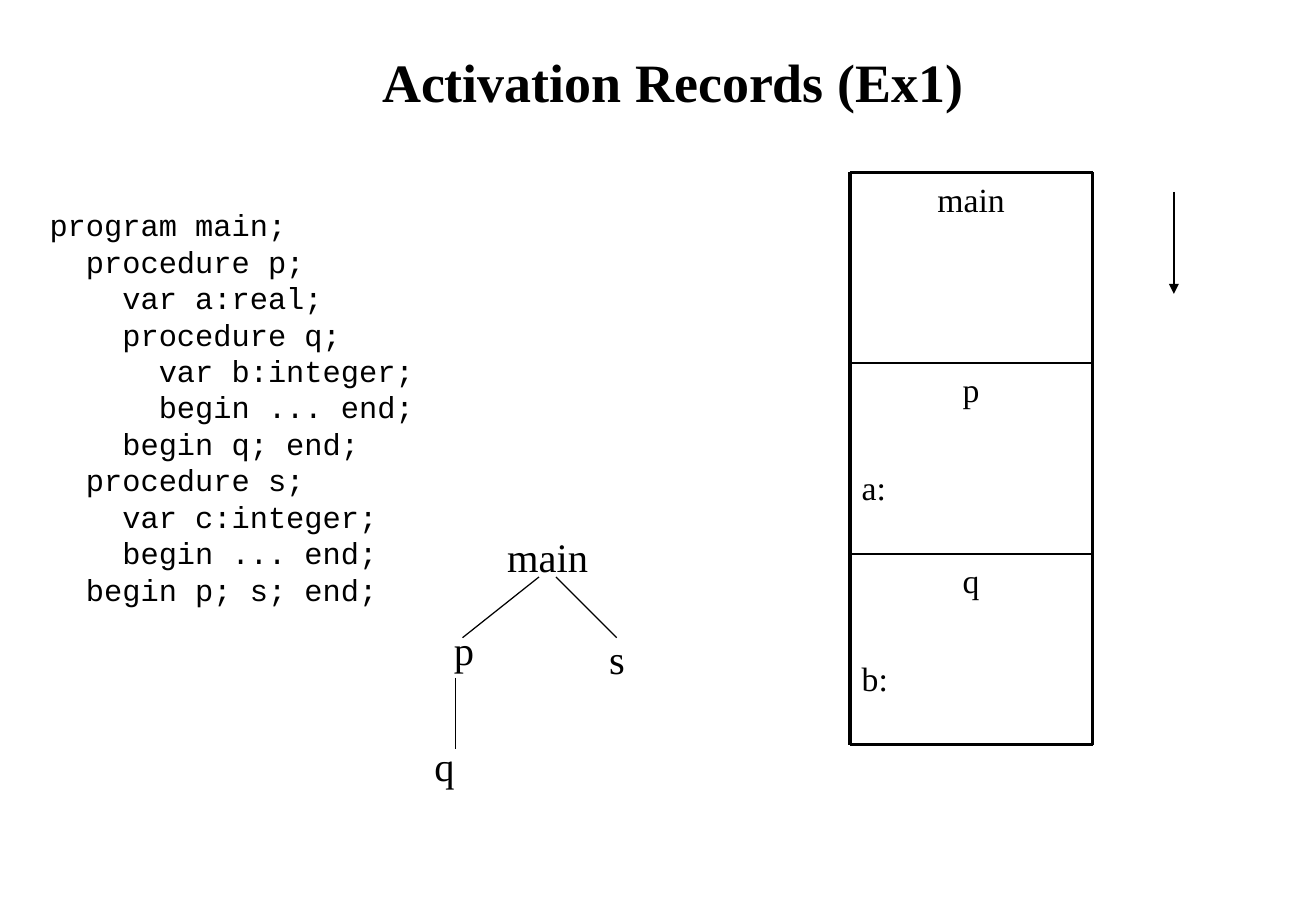
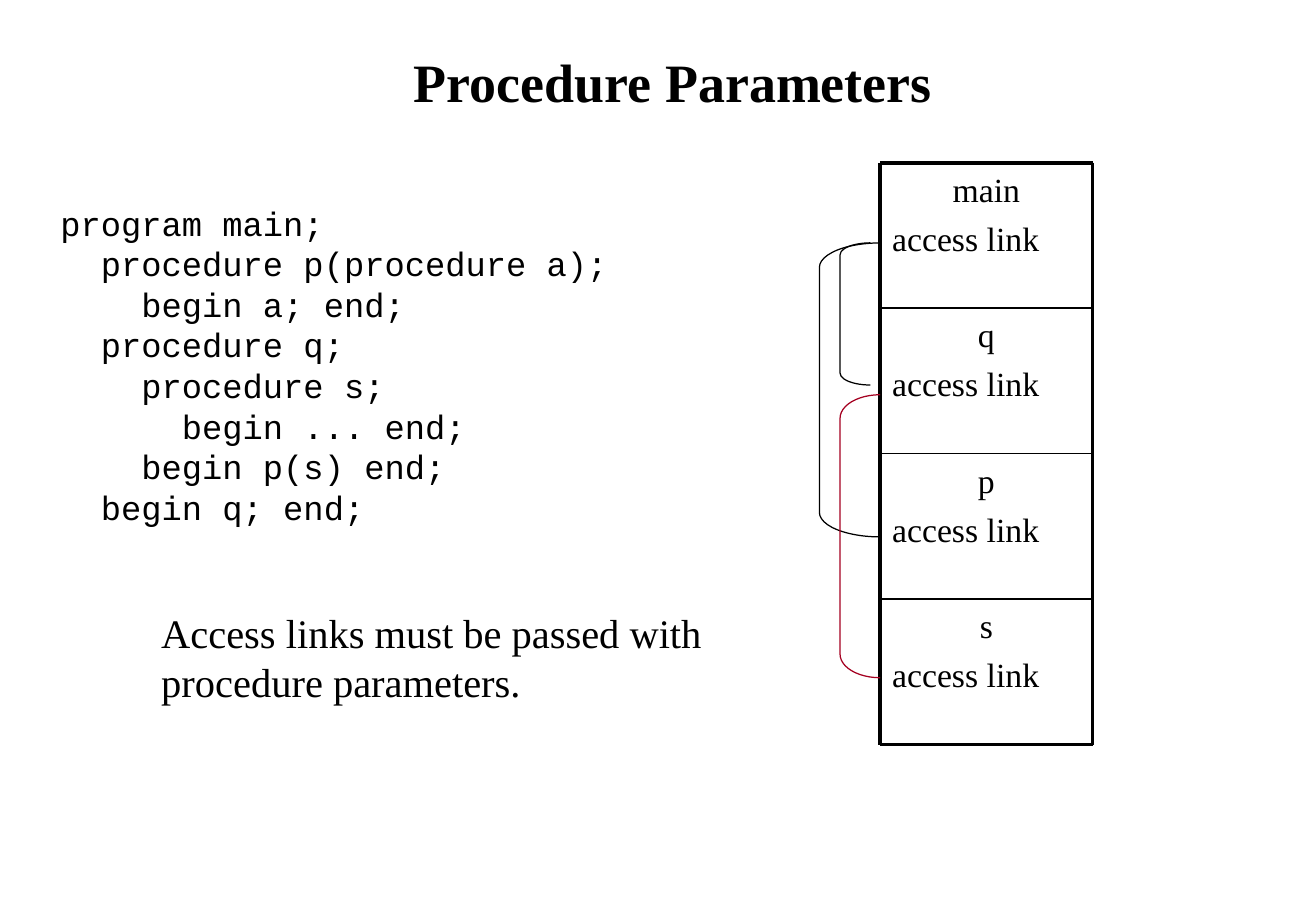
import pptx
import pptx.dml.color
import pptx.enum.shapes
import pptx.enum.text
import pptx.oxml
import pptx.oxml.ns
import pptx.util

Inches = pptx.util.Inches
Pt = pptx.util.Pt
ALIGN = pptx.enum.text.PP_ALIGN
SHAPES = pptx.enum.shapes.MSO_SHAPE
BLACK = "000000"
RED = "A50021"
SERIF = "Times New Roman"
MONO = "Courier New"
STACK_RIGHT = 9
STACK_BOTTOM = 6.13
LINE_GAP = 5
THIN = 0.75

ACTIVATION_CODE = """program main;
  procedure p;
    var a:real;
    procedure q;
      var b:integer;
      begin ... end;
    begin q; end;
  procedure s;
    var c:integer;
    begin ... end;
  begin p; s; end;"""

PARAMETER_CODE = """program main;
  procedure p(procedure a);
    begin a; end;
  procedure q;
    procedure s;
      begin ... end;
    begin p(s) end;
  begin q; end;"""


def color(value):
    return pptx.dml.color.RGBColor.from_string(value)


def format_para(para, size, font=SERIF, bold=False, align=ALIGN.LEFT):
    para.alignment = align
    para.font.size = Pt(size)
    para.font.name = font
    para.font.bold = bold
    para.font.color.rgb = color(BLACK)


def add_page(deck, title):
    page = deck.slides.add_slide(deck.slide_layouts[5])
    box = page.shapes.title
    box.left, box.top = Inches(0.42), Inches(0.17)
    box.width, box.height = Inches(10.25), Inches(1)
    box.text_frame.text = title
    box.text_frame.vertical_anchor = pptx.enum.text.MSO_ANCHOR.MIDDLE
    format_para(box.text_frame.paragraphs[0], 32, bold=True, align=ALIGN.CENTER)
    return page


def add_text(page, text, left, top, width, height, size=24, font=SERIF, wrap=False):
    box = page.shapes.add_textbox(Inches(left), Inches(top), Inches(width), Inches(height))
    box.text_frame.word_wrap = wrap
    box.text_frame.text = text
    for para in box.text_frame.paragraphs:
        format_para(para, size, font)
    return box


def add_line(page, start, end, weight=THIN, arrow=False):
    line = page.shapes.add_connector(
        pptx.enum.shapes.MSO_CONNECTOR.STRAIGHT, *map(Inches, start + end))
    line.line.color.rgb = color(BLACK)
    line.line.width = Pt(weight)
    properties = line._element.spPr
    if arrow:
        head = pptx.oxml.parse_xml(
            '<a:tailEnd %s type="triangle"/>' % pptx.oxml.ns.nsdecls("a"))
        line.line._get_or_add_ln().append(head)
    properties.append(pptx.oxml.parse_xml("<a:effectLst %s/>" % pptx.oxml.ns.nsdecls("a")))


def add_stack(page, left, top, records, field_gap=LINE_GAP):
    step = (STACK_BOTTOM - top) / len(records)
    for index, record in enumerate(records):
        box = add_text(page, record, left, top + index * step,
                       STACK_RIGHT - left, step, size=20, wrap=True)
        name, *fields = box.text_frame.paragraphs
        name.alignment = ALIGN.CENTER
        for field in fields:
            field.space_before = Pt(field_gap)
    for index in range(len(records) + 1):
        y = top + index * step
        weight = 2.25 if index in (0, len(records)) else 1
        add_line(page, (left, y), (STACK_RIGHT, y), weight)
    for x in (left, STACK_RIGHT):
        add_line(page, (x, top), (x, STACK_BOTTOM), 2.25)


def add_access_link(page, left, top, width, height, line_color=BLACK):
    link = page.shapes.add_shape(
        SHAPES.LEFT_BRACKET, Inches(left), Inches(top), Inches(width), Inches(height))
    link.adjustments[0] = height / 12 / width
    link.shadow.inherit = False
    link.fill.background()
    link.line.color.rgb = color(line_color)
    link.line.width = Pt(THIN)


def build_activation_records(deck):
    page = add_page(deck, "Activation Records (Ex1)")
    add_text(page, ACTIVATION_CODE, 0.31, 1.65, 3.4, 3.4, size=18, font=MONO)
    add_stack(page, 7, 1.42, ["main", "p\na:", "q\nb:"], field_gap=34)
    add_line(page, (9.67, 1.58), (9.67, 2.42), arrow=True)
    for start, end in [((4.44, 4.75), (3.81, 5.25)),
                       ((4.58, 4.75), (5.08, 5.25)),
                       ((3.75, 5.58), (3.75, 6.17))]:
        add_line(page, start, end)
    for name, left, top, width in [("main", 4.08, 4.33, 1), ("p", 3.64, 5.1, 0.45),
                                   ("q", 3.48, 6.05, 0.45), ("s", 4.92, 5.17, 0.45)]:
        add_text(page, name, left, top, width, 0.5, wrap=True)


def build_procedure_parameters(deck):
    page = add_page(deck, "Procedure Parameters")
    add_text(page, PARAMETER_CODE, 0.4, 1.62, 4.9, 2.8, size=20, font=MONO)
    add_stack(page, 7.25, 1.34, [name + "\naccess link" for name in ("main", "q", "p", "s")])
    add_access_link(page, 6.92, 2, 0.25, 1.17)
    add_access_link(page, 6.75, 2, 0.5, 2.42)
    add_access_link(page, 6.92, 3.25, 0.33, 2.33, RED)
    add_text(page, "Access links must be passed with procedure parameters.",
             1.23, 4.96, 4.9, 0.9, wrap=True)


def main():
    deck = pptx.Presentation()
    deck.slide_width, deck.slide_height = Inches(10.84), Inches(7.5)
    build_activation_records(deck)
    build_procedure_parameters(deck)
    deck.save("out.pptx")


if __name__ == "__main__":
    main()
